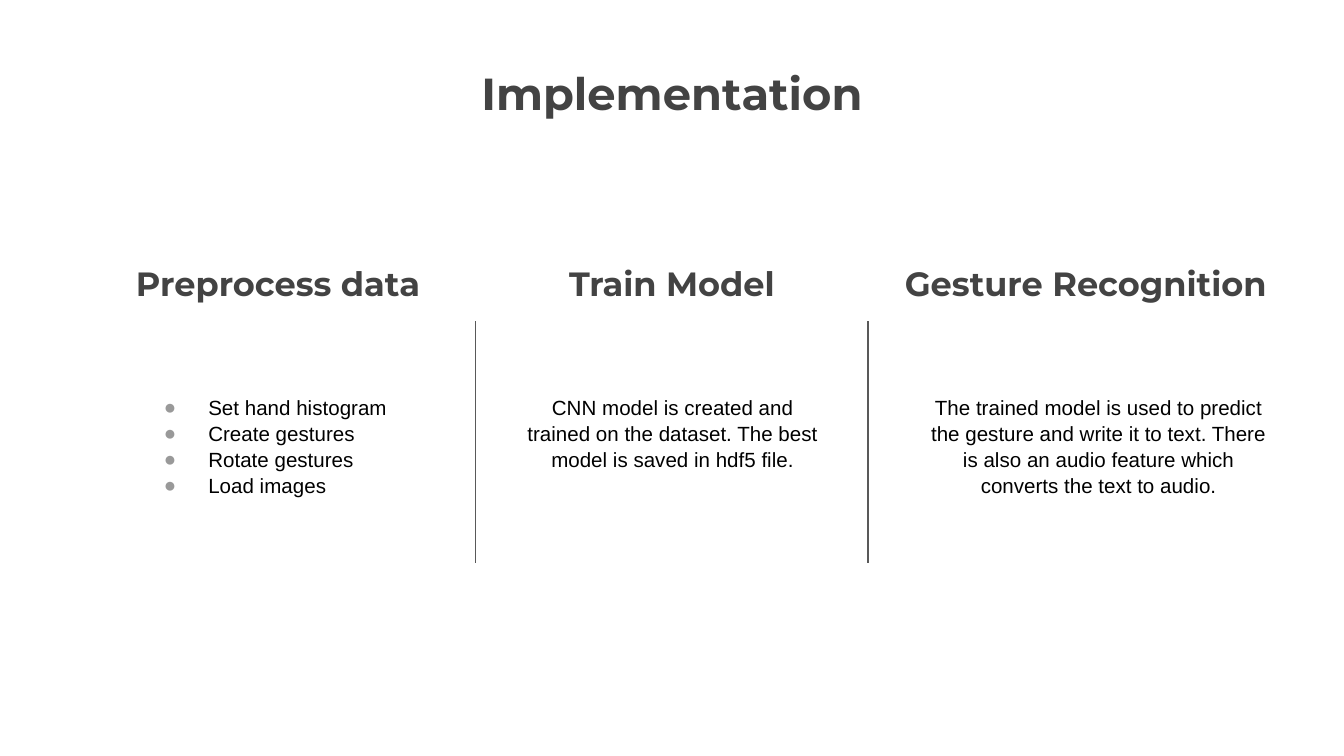
from dataclasses import dataclass

from lxml import etree
from pptx import Presentation
from pptx.dml.color import RGBColor
from pptx.enum.shapes import MSO_CONNECTOR
from pptx.enum.text import MSO_ANCHOR, MSO_AUTO_SIZE, PP_ALIGN
from pptx.oxml.ns import qn
from pptx.shapes.base import BaseShape
from pptx.slide import Slide
from pptx.util import Pt

LEFT, CENTER = PP_ALIGN.LEFT, PP_ALIGN.CENTER
TOP, BOTTOM = MSO_ANCHOR.TOP, MSO_ANCHOR.BOTTOM
FIXED = MSO_AUTO_SIZE.NONE
STRAIGHT = MSO_CONNECTOR.STRAIGHT

DARK = RGBColor(0x43, 0x43, 0x43)
BLACK = RGBColor(0, 0, 0)
LINE = RGBColor(0x59, 0x59, 0x59)
DOT = RGBColor(0x99, 0x99, 0x99)

HEAD = dict(font="Montserrat", color=DARK, bold=True)
HEAD_TOP, HEAD_WIDTH, HEAD_HEIGHT = 136, 210.2, 33.8
BODY_TOP = 203.8
RULE_TOP, RULE_END = 172, 301.7


@dataclass
class Step:
    head: str
    left: float
    lines: list[str]
    body_left: float
    body_width: float
    body_height: float
    dots: bool = False


STEPS = [
    Step("Preprocess data", 43.9,
         ["Set hand histogram", "Create gestures", "Rotate gestures", "Load images"],
         68.4, 161.3, 79.2, dots=True),
    Step("Train Model", 254.9,
         ["CNN model is created and trained on the dataset. "
          "The best model is saved in hdf5 file."],
         272.9, 175, 94.3),
    Step("Gesture Recognition", 476.6,
         ["The trained model is used to predict the gesture and write it to text. "
          "There is also an audio feature which converts the text to audio."],
         489.6, 198, 20.2),
]
RULES = [254.9, 465.1]


def place(shape: BaseShape, left: float, top: float, width: float, height: float) -> BaseShape:
    shape.left, shape.top = Pt(left), Pt(top)
    shape.width, shape.height = Pt(width), Pt(height)
    return shape


def add_box(slide: Slide) -> BaseShape:
    return slide.shapes.add_textbox(0, 0, 0, 0)


def write(shape: BaseShape, lines: list[str], *, size: float, font: str = "Arial",
          color: RGBColor = BLACK, bold: bool = False, align: PP_ALIGN = CENTER,
          anchor: MSO_ANCHOR = TOP, space: float = 1.0, dots: bool = False) -> None:
    frame = shape.text_frame
    frame.auto_size = FIXED
    frame.word_wrap = True
    frame.vertical_anchor = anchor
    frame.margin_left = frame.margin_right = Pt(7.2)
    frame.margin_top = frame.margin_bottom = Pt(7.2)
    frame.text = "\n".join(lines)
    for para in frame.paragraphs:
        para.alignment = align
        para.line_spacing = space
        para.space_before = para.space_after = Pt(0)
        for run in para.runs:
            run.font.name = font
            run.font.size = Pt(size)
            run.font.bold = bold
            run.font.color.rgb = color
        if dots:
            props = para._p.get_or_add_pPr()
            props.set("marL", str(Pt(36)))
            props.set("indent", str(-Pt(23.8)))
            tint = etree.SubElement(props, qn("a:buClr"))
            etree.SubElement(tint, qn("a:srgbClr"), val=str(DOT))
            etree.SubElement(props, qn("a:buFont"), typeface="Arial")
            etree.SubElement(props, qn("a:buChar"), char="●")


def draw_step(slide: Slide, step: Step) -> None:
    head = place(add_box(slide), step.left, HEAD_TOP, HEAD_WIDTH, HEAD_HEIGHT)
    write(head, [step.head], size=18, anchor=BOTTOM, **HEAD)
    body = slide.placeholders[1] if step.dots else add_box(slide)
    place(body, step.body_left, BODY_TOP, step.body_width, step.body_height)
    write(body, step.lines, size=11, align=LEFT if step.dots else CENTER,
          space=1.05, dots=step.dots)


def draw_rule(slide: Slide, left: float) -> None:
    rule = slide.shapes.add_connector(STRAIGHT, Pt(left), Pt(RULE_TOP), Pt(left), Pt(RULE_END))
    rule.line.color.rgb = LINE
    rule.line.width = Pt(0.75)
    etree.SubElement(rule._element.spPr, qn("a:effectLst"))


def main() -> None:
    deck = Presentation()
    deck.slide_width, deck.slide_height = Pt(720), Pt(405)
    slide = deck.slides.add_slide(deck.slide_layouts[1])
    title = place(slide.shapes.title, 154.8, 28.1, 410.4, 74.2)
    write(title, ["Implementation"], size=24, **HEAD)
    for step in STEPS:
        draw_step(slide, step)
    for left in RULES:
        draw_rule(slide, left)
    deck.save("out.pptx")


if __name__ == "__main__":
    main()
